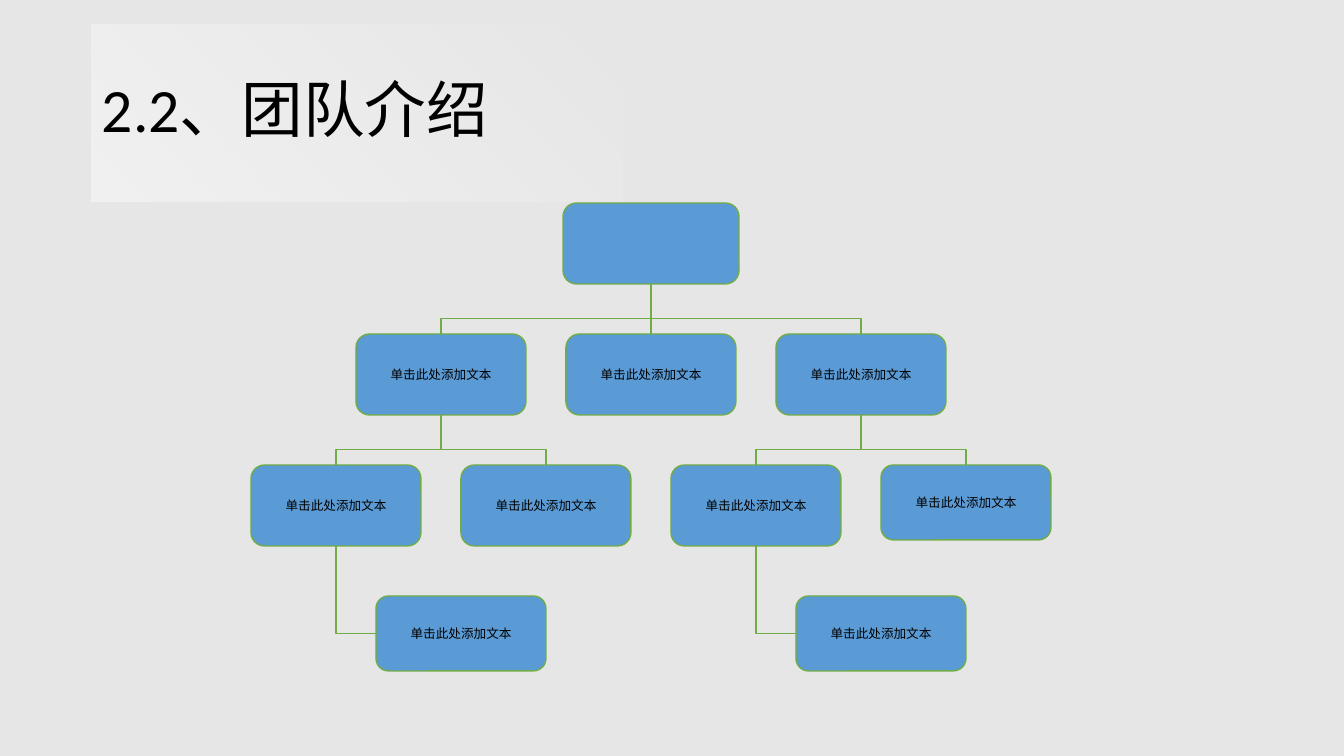
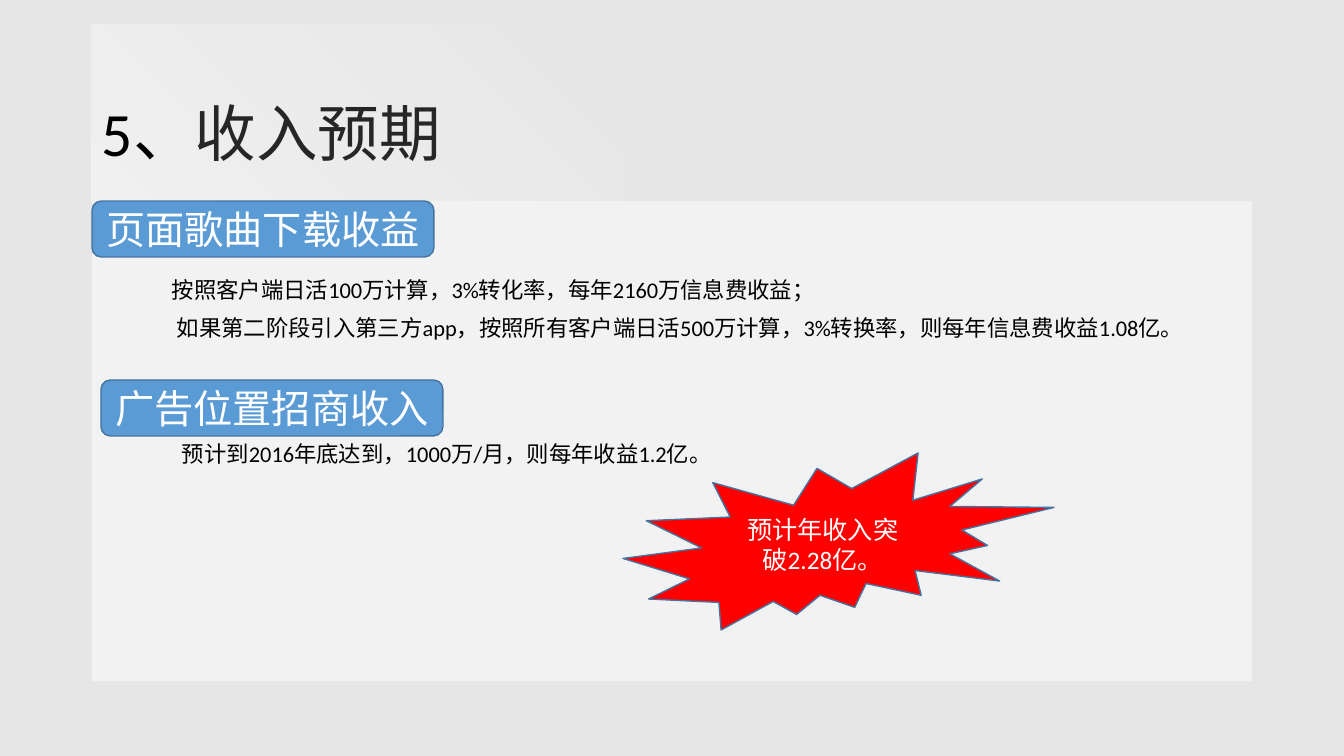
from lxml import etree
from pptx import Presentation
from pptx.dml.color import RGBColor
from pptx.enum.shapes import MSO_CONNECTOR as CXN, MSO_SHAPE as SHAPE
from pptx.enum.text import MSO_ANCHOR as ANCHOR, PP_ALIGN as ALIGN
from pptx.oxml import parse_xml
from pptx.oxml.ns import nsdecls, qn
from pptx.util import Pt

EMU_PER_PX = 12192000 / 1344
COLORS = {
    "ground": "E7E6E6", "panel": "F2F2F2", "blue": "5B9BD5", "edge": "43739E",
    "green": "70AD47", "red": "FF0000", "black": "000000", "dark": "262626",
    "white": "FFFFFF",
}
LATIN, CJK = "Calibri", "Noto Sans CJK SC"
TOP, LEFT, BOTTOM = 0, 1, 2


def px(n):
    return round(n * EMU_PER_PX)


def rgb(name):
    return RGBColor.from_string(COLORS[name])


class Deck:
    """Holds the shared style and the slide being filled."""

    def __init__(self):
        self.prs = Presentation()
        self.prs.slide_width, self.prs.slide_height = px(1344), px(756)
        self.s = None

    def slide(self, *title_runs, spacing=0.9):
        self.s = self.prs.slides.add_slide(self.prs.slide_layouts[6])
        fill = self.s.background.fill
        fill.solid()
        fill.fore_color.rgb = rgb("ground")
        self.title_band()
        box = self.s.shapes.add_textbox(*map(px, (92, 40, 1160, 146)))
        self.frame(box.text_frame, word_wrap=True, vertical_anchor=ANCHOR.MIDDLE)
        p = box.text_frame.paragraphs[0]
        p.line_spacing = spacing
        for text, style in title_runs:
            self.run(p, text, 44, **style)

    def title_band(self):
        """Rectangle that fades out towards its top right corner."""
        band = self.shape(SHAPE.RECTANGLE, (92, 25, 531, 177), "panel")
        sp_pr = band._element.spPr
        color = COLORS["panel"]
        grad = parse_xml(
            f'<a:gradFill {nsdecls("a")} rotWithShape="1"><a:gsLst>'
            f'<a:gs pos="0"><a:srgbClr val="{color}"><a:alpha val="0"/></a:srgbClr></a:gs>'
            f'<a:gs pos="100000"><a:srgbClr val="{color}"/></a:gs></a:gsLst>'
            '<a:path path="circle"><a:fillToRect l="100000" b="100000"/></a:path>'
            '</a:gradFill>')
        sp_pr.replace(sp_pr.find(qn("a:solidFill")), grad)

    def shape(self, kind, box, fill, line=None):
        sp = self.s.shapes.add_shape(kind, *map(px, box))
        sp.shadow.inherit = False
        sp.fill.solid()
        sp.fill.fore_color.rgb = rgb(fill)
        if line:
            sp.line.color.rgb = rgb(line)
            sp.line.width = Pt(1)
        else:
            sp.line.fill.background()
        return sp

    def label(self, kind, box, fill, line, text, size, font=LATIN, color="white",
              wrap=True):
        """Outlined shape with centred text."""
        sp = self.shape(kind, box, fill, line)
        self.frame(sp.text_frame, word_wrap=wrap, vertical_anchor=ANCHOR.MIDDLE)
        p = sp.text_frame.paragraphs[0]
        p.alignment = ALIGN.CENTER
        if text:
            self.run(p, text, size, font, color)
        return sp

    def pill(self, x, y, text):
        self.label(SHAPE.ROUNDED_RECTANGLE, (x, y, 342, 56), "blue", "edge", text, 28)

    def org_box(self, x, y, w, h, text=""):
        return self.label(SHAPE.ROUNDED_RECTANGLE, (x, y, w, h), "blue", "green",
                          text, 9, "Arial", "black", wrap=False)

    def panel(self, box, top_inset, lines):
        """Text panel; each line is (indent px, space before pt, text)."""
        sp = self.shape(SHAPE.RECTANGLE, box, "panel")
        tf = sp.text_frame
        self.frame(tf, word_wrap=True, vertical_anchor=ANCHOR.TOP,
                   margin_top=px(top_inset))
        for i, (indent, before, text) in enumerate(lines):
            p = tf.add_paragraph() if i else tf.paragraphs[0]
            p._p.get_or_add_pPr().set("marL", str(px(indent)))
            p.alignment, p.line_spacing = ALIGN.LEFT, 0.9
            if before:
                p.space_before = Pt(before)
            self.run(p, text, 16)

    def frame(self, tf, **values):
        for name, value in values.items():
            setattr(tf, name, value)

    def run(self, p, text, size, font=LATIN, color="black"):
        r = p.add_run()
        r.text = text
        r.font.color.rgb = rgb(color)
        for name, value in {"size": Pt(size), "name": font}.items():
            setattr(r.font, name, value)
        etree.SubElement(r.font._element, qn("a:ea")).set("typeface", CJK)

    def branch(self, parent, child, side=TOP):
        """Join the bottom of parent to a side of child, leaving downwards."""
        x1, y1 = parent.left + parent.width // 2, parent.top + parent.height
        x2, y2 = child.left, child.top
        if side == TOP:
            x2 += child.width // 2
        else:
            y2 += child.height // 2
        straight = abs(x2 - x1) < px(1)
        kind = CXN.STRAIGHT if straight else CXN.ELBOW
        c = self.s.shapes.add_connector(kind, x1, y1, x2, y2)
        c.begin_connect(parent, BOTTOM)
        c.end_connect(child, side)
        c.line.color.rgb = rgb("green")
        c.line.width = Pt(1)
        sp_pr = c._element.spPr
        etree.SubElement(sp_pr, qn("a:effectLst"))
        if not straight:
            self.turn_down(c, sp_pr, x1, y1, x2, y2, side)

    def turn_down(self, c, sp_pr, x1, y1, x2, y2, side):
        """Rotate an elbow so that its first leg runs down."""
        run, drop = abs(x2 - x1), y2 - y1
        c.left, c.top = (x1 + x2 - drop) // 2, (y1 + y2 - run) // 2
        c.width, c.height = drop, run
        xfrm = sp_pr.find(qn("a:xfrm"))
        for name in ("flipH", "flipV"):
            xfrm.attrib.pop(name, None)
        if x2 > x1:
            xfrm.set("rot", "16200000")
            xfrm.set("flipH", "1")
        else:
            xfrm.set("rot", "5400000")
        geom = sp_pr.find(qn("a:prstGeom"))
        if side == LEFT:
            geom.set("prst", "bentConnector2")
        else:
            guide = etree.SubElement(geom.find(qn("a:avLst")), qn("a:gd"))
            guide.set("name", "adj1")
            guide.set("fmla", "val 68800")


def team_slide(d):
    d.slide(("2.2、团队介绍", {}))
    text = "单击此处添加文本"
    half_step, row_step, x0, y0, w, h, low_h = 105, 131, 251, 203, 170, 81, 75

    def member(half_steps, row, height=h, shift=0):
        return d.org_box(x0 + half_steps * half_step + shift, y0 + row * row_step,
                         w, height, text)

    head = d.org_box(563, y0, 176, h)
    leads = [member(k, 1) for k in (1, 3, 5)]
    staff = [member(k, 2, low_h if k == 6 else h) for k in (0, 2, 4, 6)]
    aides = [member(k, 3, low_h, shift=125) for k in (0, 4)]
    for lead in leads:
        d.branch(head, lead)
    for i, person in enumerate(staff):
        d.branch(leads[0 if i < 2 else 2], person)
    for person, aide in zip(staff[::2], aides):
        d.branch(person, aide, LEFT)


def income_slide(d):
    d.slide(("5、", {}), ("收入预期", {"font": CJK, "color": "dark"}), spacing=1.5)
    d.panel((92, 201, 1160, 480), 78, [
        (70, 0, "按照客户端日活100万计算，3%转化率，每年2160万信息费收益；"),
        (75, 10, "如果第二阶段引入第三方app，按照所有客户端日活500万计算，"
                 "3%转换率，则每年信息费收益1.08亿。"),
        (80, 73, "预计到2016年底达到，1000万/月，则每年收益1.2亿。"),
    ])
    d.pill(92, 201, "页面歌曲下载收益")
    d.pill(101, 380, "广告位置招商收入")
    d.label(SHAPE.EXPLOSION2, (623, 453, 431, 177), "red", "edge",
            "预计年收入突破2.28亿。", 18)


def main():
    d = Deck()
    team_slide(d)
    income_slide(d)
    d.prs.save("out.pptx")


if __name__ == "__main__":
    main()
